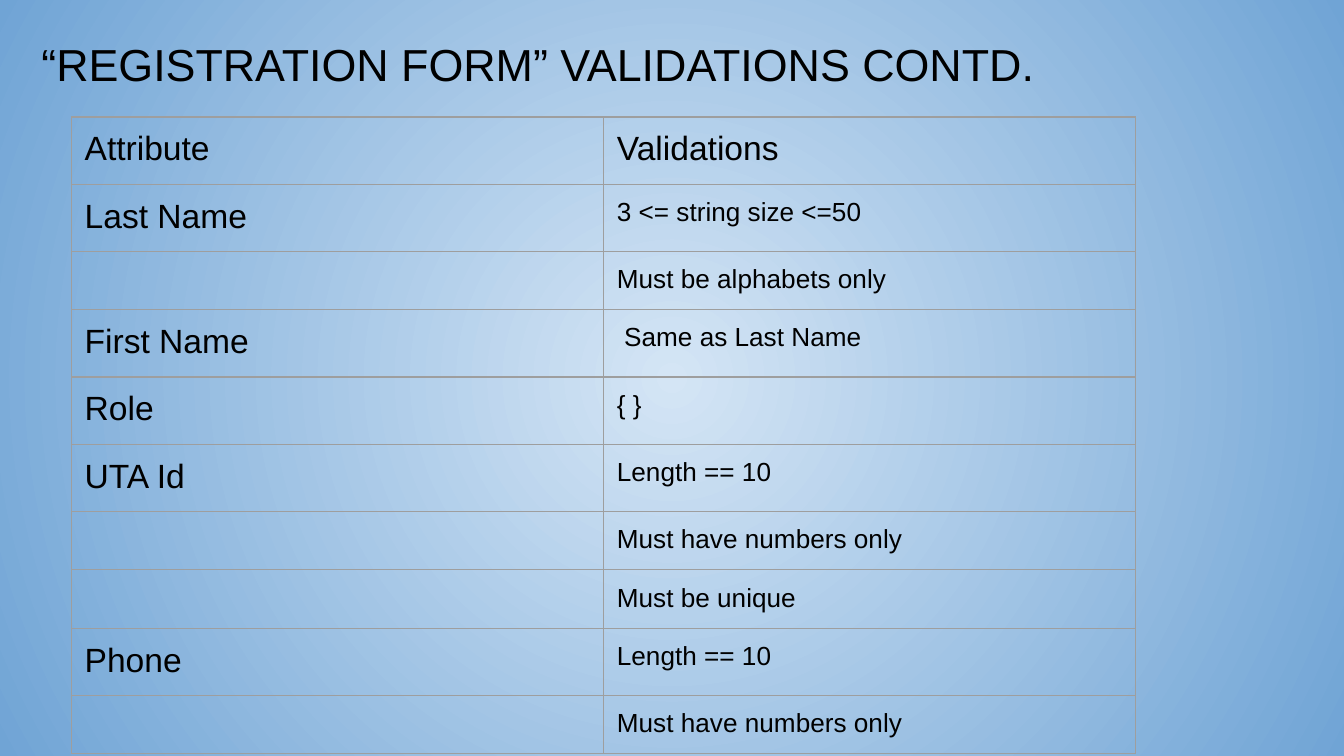
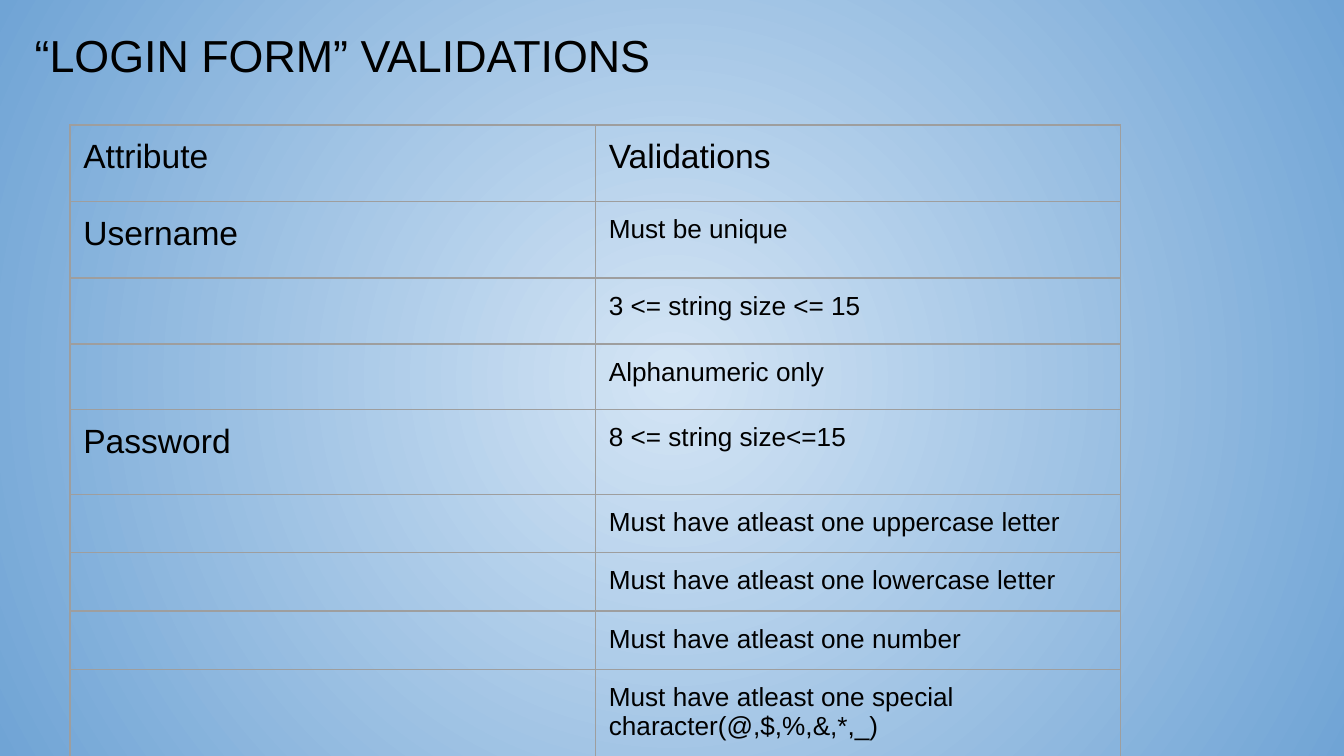
from dataclasses import dataclass

import pptx
import pptx.dml.color
import pptx.enum.text
import pptx.oxml
import pptx.oxml.ns
import pptx.util
from pptx.util import Inches

FONT = "Arial"
BLACK = "000000"
GREY = "9E9E9E"
GLOW = "D4E5F5"
BLUE = "70A4D5"
PAD = Inches(0.1)
BIG, SMALL = 18, 14
NS = pptx.oxml.ns.nsdecls("a")


@dataclass
class Title:
    text: str
    left: float
    top: float
    width: float
    height: float


@dataclass
class Grid:
    left: float
    top: float
    col: float
    tall: list[float]
    rows: list[tuple[str, str]]


@dataclass
class Page:
    title: Title
    grid: Grid


PAGES = [
    Page(
        Title("“REGISTRATION FORM” VALIDATIONS CONTD.", 0.21, 0.17, 9.47, 0.54),
        Grid(0.53, 0.87, 3.96, [0.42] * 10, [
            ("Attribute", "Validations"),
            ("Last Name", "3 <= string size <=50"),
            ("", "Must be alphabets only"),
            ("First Name", " Same as Last Name"),
            ("Role", "{ }"),
            ("UTA Id", "Length == 10"),
            ("", "Must have numbers only"),
            ("", "Must be unique"),
            ("Phone", "Length == 10"),
            ("", "Must have numbers only"),
        ]),
    ),
    Page(
        Title("“LOGIN FORM” VALIDATIONS", 0.16, 0.11, 9.66, 0.57),
        Grid(0.52, 0.93, 3.91, [0.57] * 2 + [0.49] * 2 + [0.63] + [0.41] * 3 + [0.63], [
            ("Attribute", "Validations"),
            ("Username", "Must be unique"),
            ("", "3 <= string size <= 15"),
            ("", "Alphanumeric only"),
            ("Password", "8 <= string size<=15"),
            ("", "Must have atleast one uppercase letter"),
            ("", "Must have atleast one lowercase letter"),
            ("", "Must have atleast one number"),
            ("", "Must have atleast one special character(@,$,%,&,*,_)"),
        ]),
    ),
]


def tint(code: str) -> pptx.dml.color.RGBColor:
    return pptx.dml.color.RGBColor.from_string(code)


def node(xml: str):
    return pptx.oxml.parse_xml(xml)


def write(frame, text: str, *, size: int, color: str = BLACK) -> None:
    frame.word_wrap = True
    para = frame.paragraphs[0]
    if text:
        run = para.add_run()
        run.text = text
        run.font.name = FONT
        run.font.size = pptx.util.Pt(size)
        run.font.bold = False
        run.font.color.rgb = tint(color)
    para._p.append(node(
        f'<a:endParaRPr {NS} sz="{size * 100}">'
        f'<a:latin typeface="{FONT}"/></a:endParaRPr>'
    ))


def inset(box) -> None:
    box.margin_left = box.margin_right = PAD
    box.margin_top = box.margin_bottom = PAD
    box.vertical_anchor = pptx.enum.text.MSO_ANCHOR.TOP


def border(cell) -> None:
    props = cell._tc.get_or_add_tcPr()
    width = pptx.util.Pt(0.75)
    for spot, side in enumerate("LRTB"):
        props.insert(spot, node(
            f'<a:ln{side} {NS} w="{width}"><a:solidFill>'
            f'<a:srgbClr val="{GREY}"/></a:solidFill></a:ln{side}>'
        ))


def backdrop(master) -> None:
    fill = master.background.fill
    fill.gradient()
    for stop, code in zip(fill.gradient_stops, (GLOW, BLUE)):
        stop.color.rgb = tint(code)
    grad = master.element.find(".//" + pptx.oxml.ns.qn("a:gradFill"))
    grad.remove(grad.find(pptx.oxml.ns.qn("a:lin")))
    grad.append(node(
        f'<a:path {NS} path="circle">'
        '<a:fillToRect l="50000" t="50000" r="50000" b="50000"/></a:path>'
    ))


def head(slide, title: Title) -> None:
    box = slide.shapes.add_textbox(
        Inches(title.left), Inches(title.top), Inches(title.width), Inches(title.height)
    )
    inset(box.text_frame)
    write(box.text_frame, title.text, size=24)


def table(slide, grid: Grid) -> None:
    body = slide.shapes.add_table(
        len(grid.rows), 2, Inches(grid.left), Inches(grid.top),
        Inches(2 * grid.col), Inches(sum(grid.tall)),
    ).table
    body.first_row = body.horz_banding = False
    for col in body.columns:
        col.width = Inches(grid.col)
    for row, tall in zip(body.rows, grid.tall):
        row.height = Inches(tall)
    for y, row in enumerate(grid.rows):
        for x, text in enumerate(row):
            cell = body.cell(y, x)
            inset(cell)
            cell.fill.background()
            border(cell)
            large = text and (y == 0 or x == 0)
            write(cell.text_frame, text, size=BIG if large else SMALL)


def main() -> None:
    deck = pptx.Presentation()
    deck.slide_width = Inches(10)
    deck.slide_height = deck.slide_width * 9 // 16
    backdrop(deck.slide_master)
    for page in PAGES:
        slide = deck.slides.add_slide(deck.slide_layouts[6])
        head(slide, page.title)
        table(slide, page.grid)
    deck.save("out.pptx")


if __name__ == "__main__":
    main()
